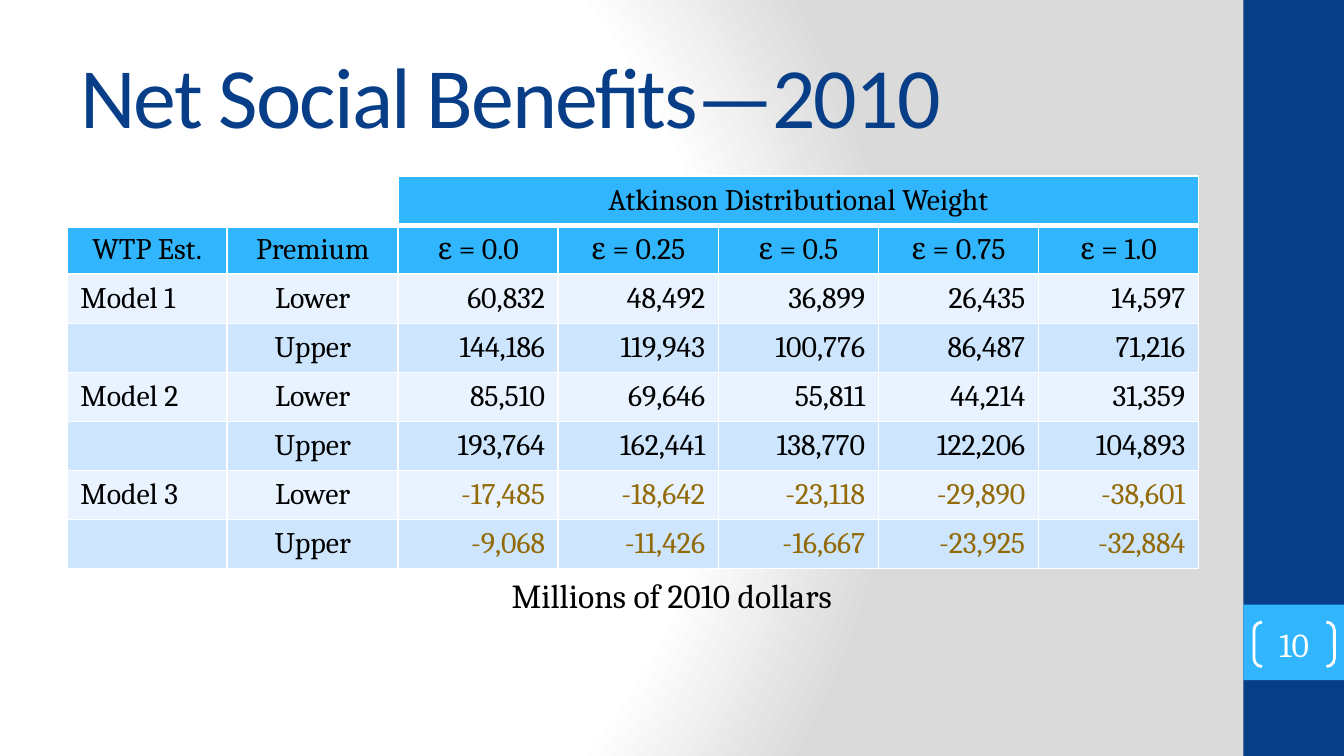
from collections import namedtuple
from dataclasses import dataclass

from lxml.etree import SubElement
from pptx import Presentation
from pptx.dml.color import RGBColor
from pptx.enum.shapes import MSO_SHAPE
from pptx.enum.text import MSO_ANCHOR, PP_ALIGN
from pptx.oxml import parse_xml
from pptx.oxml.ns import nsdecls, qn
from pptx.util import Cm, Pt

Box = namedtuple("Box", "left top width height")


@dataclass(frozen=True)
class Theme:
    navy: str = "073E87"
    sky: str = "31B6FD"
    white: str = "FFFFFF"
    grey: str = "DADADA"
    black: str = "000000"
    negative: str = "936A08"
    bands: tuple = ("E8F3FF", "CEE5FE")
    heading_font: str = "Calibri"
    body_font: str = "Cambria"
    title_size: int = 46
    note_size: int = 18
    table_size: int = 16


THEME = Theme()

WEIGHTS = ["0.0", "0.25", "0.5", "0.75", "1.0"]
BENEFITS = [
    ("Model 1", "Lower", [60832, 48492, 36899, 26435, 14597]),
    ("", "Upper", [144186, 119943, 100776, 86487, 71216]),
    ("Model 2", "Lower", [85510, 69646, 55811, 44214, 31359]),
    ("", "Upper", [193764, 162441, 138770, 122206, 104893]),
    ("Model 3", "Lower", [-17485, -18642, -23118, -29890, -38601]),
    ("", "Upper", [-9068, -11426, -16667, -23925, -32884]),
]


def place(box):
    return [Cm(length) for length in box]


def add_run(paragraph, text, size, color, font=THEME.body_font):
    run = paragraph.add_run()
    run.text = text
    run.font.size = Pt(size)
    run.font.name = font
    run.font.color.rgb = RGBColor.from_string(color)
    return run


def paint_background(slide):
    slide.background.fill.gradient()
    gradient = slide.element.find(".//" + qn("a:gradFill"))
    stops = [(0, THEME.white), (75, THEME.white), (100, THEME.grey)]
    stop_xml = "".join(
        f'<a:gs pos="{position * 1000}"><a:srgbClr val="{color}"/></a:gs>'
        for position, color in stops
    )
    gradient.getparent().replace(gradient, parse_xml(
        f'<a:gradFill {nsdecls("a")} rotWithShape="1"><a:gsLst>{stop_xml}</a:gsLst>'
        '<a:path path="circle"><a:fillToRect l="20000" t="50000" r="100000" b="50000"/>'
        "</a:path></a:gradFill>"
    ))


def add_block(slide, box, color):
    block = slide.shapes.add_shape(MSO_SHAPE.RECTANGLE, *place(box))
    block.shadow.inherit = False
    block.fill.solid()
    block.fill.fore_color.rgb = RGBColor.from_string(color)
    block.line.fill.background()


def add_sidebar(slide, box, number):
    tab = Box(box.left, box.top + 11.43, box.width, 1.43)
    add_block(slide, box, THEME.navy)
    add_block(slide, tab, THEME.sky)
    bracket_box = Box(tab.left + 0.2, tab.top + 0.33, 1.52, 0.84)
    bracket = slide.shapes.add_shape(MSO_SHAPE.DOUBLE_BRACKET, *place(bracket_box))
    bracket.shadow.inherit = False
    bracket.adjustments[0] = 0.18
    bracket.fill.background()
    bracket.line.color.rgb = RGBColor.from_string(THEME.white)
    bracket.line.width = Pt(1.5)
    frame = bracket.text_frame
    frame.margin_left = frame.margin_right = frame.margin_top = frame.margin_bottom = 0
    frame.vertical_anchor = MSO_ANCHOR.MIDDLE
    paragraph = frame.paragraphs[0]
    paragraph.alignment = PP_ALIGN.CENTER
    add_run(paragraph, number, THEME.note_size, THEME.white)


def add_title(slide, box, text):
    frame = slide.shapes.add_textbox(*place(box)).text_frame
    frame.word_wrap = True
    frame.vertical_anchor = MSO_ANCHOR.MIDDLE
    run = add_run(frame.paragraphs[0], text, THEME.title_size, THEME.navy, THEME.heading_font)
    run.font._element.set("spc", "-100")


def add_note(slide, box, text):
    frame = slide.shapes.add_textbox(*place(box)).text_frame
    frame.word_wrap = False
    paragraph = frame.paragraphs[0]
    paragraph.alignment = PP_ALIGN.CENTER
    add_run(paragraph, text, THEME.note_size, THEME.black)


def set_borders(cell, top, bottom):
    properties = cell._tc.get_or_add_tcPr()
    widths = {"lnL": 1, "lnR": 1, "lnT": top, "lnB": bottom}
    for index, (side, width) in enumerate(widths.items()):
        properties.insert(index, parse_xml(
            f'<a:{side} {nsdecls("a")} w="{Pt(width)}"><a:solidFill>'
            f'<a:srgbClr val="{THEME.white}"/></a:solidFill></a:{side}>'
        ))


def fill_cell(cell, text, fill, alignment, color):
    cell.fill.solid()
    cell.fill.fore_color.rgb = RGBColor.from_string(fill)
    cell.vertical_anchor = MSO_ANCHOR.MIDDLE
    cell.margin_left = cell.margin_right = Cm(0.25)
    cell.margin_top = cell.margin_bottom = Cm(0.1)
    paragraph = cell.text_frame.paragraphs[0]
    paragraph.alignment = alignment
    if text:
        add_run(paragraph, text, THEME.table_size, color)
    else:
        end = SubElement(paragraph._p, qn("a:endParaRPr"))
        end.set("sz", str(THEME.table_size * 100))


def add_benefit_table(slide, box):
    rows = [["", "", "Atkinson Distributional Weight", "", "", "", ""]]
    rows.append(["WTP Est.", "Premium"] + [f"ε = {weight}" for weight in WEIGHTS])
    rows += [[model, bound] + [f"{value:,}" for value in values]
             for model, bound, values in BENEFITS]
    column_count = len(rows[0])
    table = slide.shapes.add_table(len(rows), column_count, *place(box)).table
    table.first_row = table.horz_banding = False
    premium_width = 3.23
    for index, column in enumerate(table.columns):
        other_width = (box.width - premium_width) / (column_count - 1)
        column.width = Cm(premium_width if index == 1 else other_width)
    for row in table.rows:
        row.height = Cm(box.height / len(rows))
    table.cell(0, 2).merge(table.cell(0, column_count - 1))

    for row_index, texts in enumerate(rows):
        is_header = row_index < 2
        for column_index, text in enumerate(texts):
            cell = table.cell(row_index, column_index)
            if is_header:
                fill = THEME.white if row_index == 0 and column_index < 2 else THEME.sky
            else:
                fill = THEME.bands[row_index % 2]
            if is_header or column_index == 1:
                alignment = PP_ALIGN.CENTER
            else:
                alignment = PP_ALIGN.LEFT if column_index == 0 else PP_ALIGN.RIGHT
            color = THEME.negative if text.startswith("-") else THEME.black
            fill_cell(cell, text, fill, alignment, color)
            set_borders(cell, 3 if row_index == 1 else 1, 3 if row_index == 0 else 1)


def build_benefits_slide(presentation):
    slide = presentation.slides.add_slide(presentation.slide_layouts[6])
    paint_background(slide)
    add_sidebar(slide, Box(23.5, 0, 1.9, 14.29), "10")
    add_title(slide, Box(1.27, 0.58, 21.16, 2.39), "Net Social Benefits—2010")
    add_benefit_table(slide, Box(1.27, 3.33, 21.38, 7.42))
    add_note(slide, Box(9.2, 10.75, 6.99, 1.02), "Millions of 2010 dollars")


def main():
    presentation = Presentation()
    presentation.slide_width = Cm(25.4)
    presentation.slide_height = Cm(14.29)
    build_benefits_slide(presentation)
    presentation.save("out.pptx")


if __name__ == "__main__":
    main()
